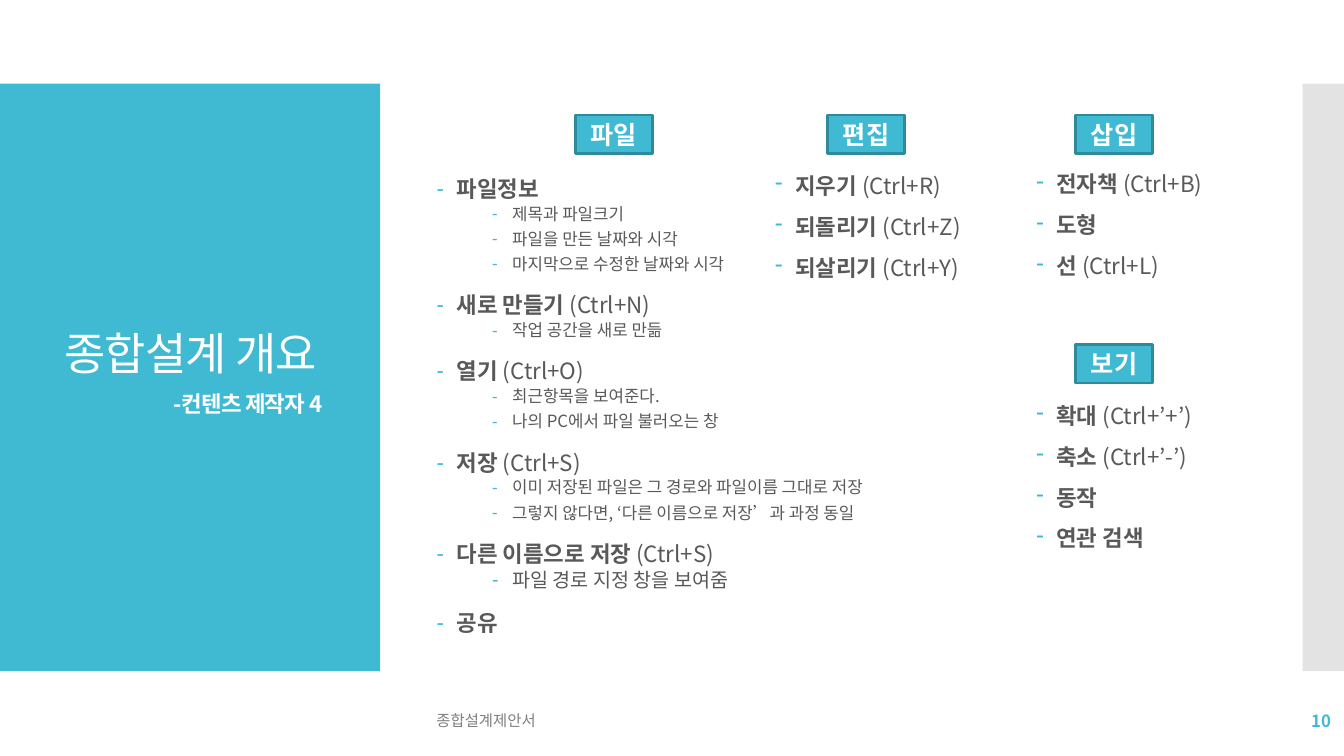
from lxml import etree
from pptx import Presentation
from pptx.dml.color import RGBColor
from pptx.enum import shapes, text
from pptx.oxml import ns
from pptx.util import Inches, Pt

TEAL = RGBColor(0x40, 0xBA, 0xD2)
EDGE = RGBColor(0x2F, 0x8A, 0x9B)
PALE = RGBColor(0xC8, 0xC8, 0xC8)
DARK = RGBColor(0x59, 0x59, 0x59)
GRAY = RGBColor(0x80, 0x80, 0x80)
WHITE = RGBColor(0xFF, 0xFF, 0xFF)
FONT = "Noto Sans CJK KR"


def style(run, size, color, bold=False, face=FONT):
    font = run.font
    font.size, font.bold, font.name = Pt(size), bold, face
    font.color.rgb = color
    east = etree.SubElement(run._r.get_or_add_rPr(), ns.qn("a:ea"))
    east.set("typeface", FONT)


def fill_list(frame, items):
    frame.word_wrap = True
    frame.auto_size = text.MSO_AUTO_SIZE.NONE
    frame.vertical_anchor = text.MSO_ANCHOR.MIDDLE
    for i, (level, label, extra, size) in enumerate(items):
        para = frame.add_paragraph() if i else frame.paragraphs[0]
        para.level = level
        para.line_spacing = 0.9
        para.space_before = Pt(2.5 if level else 12)
        para.space_after = Pt(2.5 if level else 0)
        props = para._p.get_or_add_pPr()
        props.set("marL", str(Inches(0.75 if level else 0.2)))
        props.set("indent", str(Inches(-0.2)))
        tint = etree.SubElement(props, ns.qn("a:buClr"))
        etree.SubElement(tint, ns.qn("a:srgbClr")).set("val", str(TEAL))
        etree.SubElement(props, ns.qn("a:buChar")).set("char", "-")
        run = para.add_run()
        run.text = label + " " if extra else label
        style(run, size, DARK, level == 0)
        if extra:
            run = para.add_run()
            run.text = f"({extra})"
            style(run, size, DARK)


deck = Presentation()
deck.slide_width, deck.slide_height = Inches(13.33), Inches(7.5)
slide = deck.slides.add_slide(deck.slide_layouts[1])
title, body = slide.placeholders

for left, width, color in [(0, 3.77, TEAL), (12.92, 0.41, PALE)]:
    panel = slide.shapes.add_shape(
        shapes.MSO_SHAPE.RECTANGLE, Inches(left), Inches(0.83), Inches(width), Inches(5.83))
    panel.shadow.inherit = False
    panel.fill.solid()
    panel.fill.fore_color.rgb = color
    panel.line.fill.background()
    title.element.addprevious(panel.element)
shade = panel.element.spPr.find(".//" + ns.qn("a:srgbClr"))
etree.SubElement(shade, ns.qn("a:alpha")).set("val", "50000")

title.left, title.top = Inches(0.28), Inches(1.2)
title.width, title.height = Inches(3.22), Inches(5.03)
frame = title.text_frame
frame.text = "종합설계 개요\n-컨텐츠 제작자 4"
frame.word_wrap = True
frame.auto_size = text.MSO_AUTO_SIZE.NONE
frame.vertical_anchor = text.MSO_ANCHOR.MIDDLE
for para, size, bold in zip(frame.paragraphs, (32, 16), (False, True)):
    para.alignment = text.PP_ALIGN.CENTER
    para.line_spacing = 0.9
    para.space_before = Pt(9.5 if bold else 0)
    style(para.runs[0], size, WHITE, bold)
    para.runs[0]._r.rPr.set("spc", "-60")
para._p.pPr.set("marL", str(Inches(1.14)))

body.left, body.top = Inches(4.23), Inches(1.68)
body.width, body.height = Inches(4.89), Inches(4.72)
fill_list(body.text_frame, [
    (0, "파일정보", "", 16),
    (1, "제목과 파일크기", "", 12),
    (1, "파일을 만든 날짜와 시각", "", 12),
    (1, "마지막으로 수정한 날짜와 시각", "", 12),
    (0, "새로 만들기", "Ctrl+N", 16),
    (1, "작업 공간을 새로 만듦", "", 12),
    (0, "열기", "Ctrl+O", 16),
    (1, "최근항목을 보여준다.", "", 12),
    (1, "나의 PC에서 파일 불러오는 창", "", 12),
    (0, "저장", "Ctrl+S", 16),
    (1, "이미 저장된 파일은 그 경로와 파일이름 그대로 저장", "", 12),
    (1, "그렇지 않다면, ‘다른 이름으로 저장’과 과정 동일", "", 12),
    (0, "다른 이름으로 저장", "Ctrl+S", 16),
    (1, "파일 경로 지정 창을 보여줌", "", 14),
    (0, "공유", "", 16),
])

for label, left, top in [("파일", 5.71, 1.14), ("편집", 8.21, 1.14),
                         ("삽입", 10.67, 1.14), ("보기", 10.67, 3.42)]:
    tag = slide.shapes.add_shape(
        shapes.MSO_SHAPE.RECTANGLE, Inches(left), Inches(top), Inches(0.76), Inches(0.38))
    tag.shadow.inherit = False
    tag.fill.solid()
    tag.fill.fore_color.rgb = TEAL
    tag.line.color.rgb = EDGE
    tag.line.width = Pt(2)
    frame = tag.text_frame
    frame.text = label
    frame.vertical_anchor = text.MSO_ANCHOR.MIDDLE
    frame.paragraphs[0].alignment = text.PP_ALIGN.CENTER
    style(frame.paragraphs[0].runs[0], 18, WHITE, True)

menus = [
    (7.59, 1.57, 2.2, 1.38,
     [("지우기", "Ctrl+R"), ("되돌리기", "Ctrl+Z"), ("되살리기", "Ctrl+Y")]),
    (10.18, 1.57, 1.96, 1.35,
     [("전자책", "Ctrl+B"), ("도형", ""), ("선", "Ctrl+L")]),
    (10.18, 3.82, 1.9, 1.85,
     [("확대", "Ctrl+’+’"), ("축소", "Ctrl+’-’"), ("동작", ""), ("연관 검색", "")]),
]
for left, top, width, height, items in menus:
    box = slide.shapes.add_textbox(Inches(left), Inches(top), Inches(width), Inches(height))
    fill_list(box.text_frame, [(0, label, key, 16) for label, key in items])

for label, left, width, side, size, color, bold, face in [
        ("종합설계제안서", 4.23, 6.46, text.PP_ALIGN.LEFT, 11, GRAY, False, "Calibri"),
        ("10", 11.63, 1.67, text.PP_ALIGN.RIGHT, 12, TEAL, True, FONT)]:
    box = slide.shapes.add_textbox(Inches(left), Inches(6.95), Inches(width), Inches(0.4))
    frame = box.text_frame
    frame.text = label
    frame.word_wrap = True
    frame.vertical_anchor = text.MSO_ANCHOR.MIDDLE
    frame.paragraphs[0].alignment = side
    style(frame.paragraphs[0].runs[0], size, color, bold, face)

deck.save("out.pptx")
